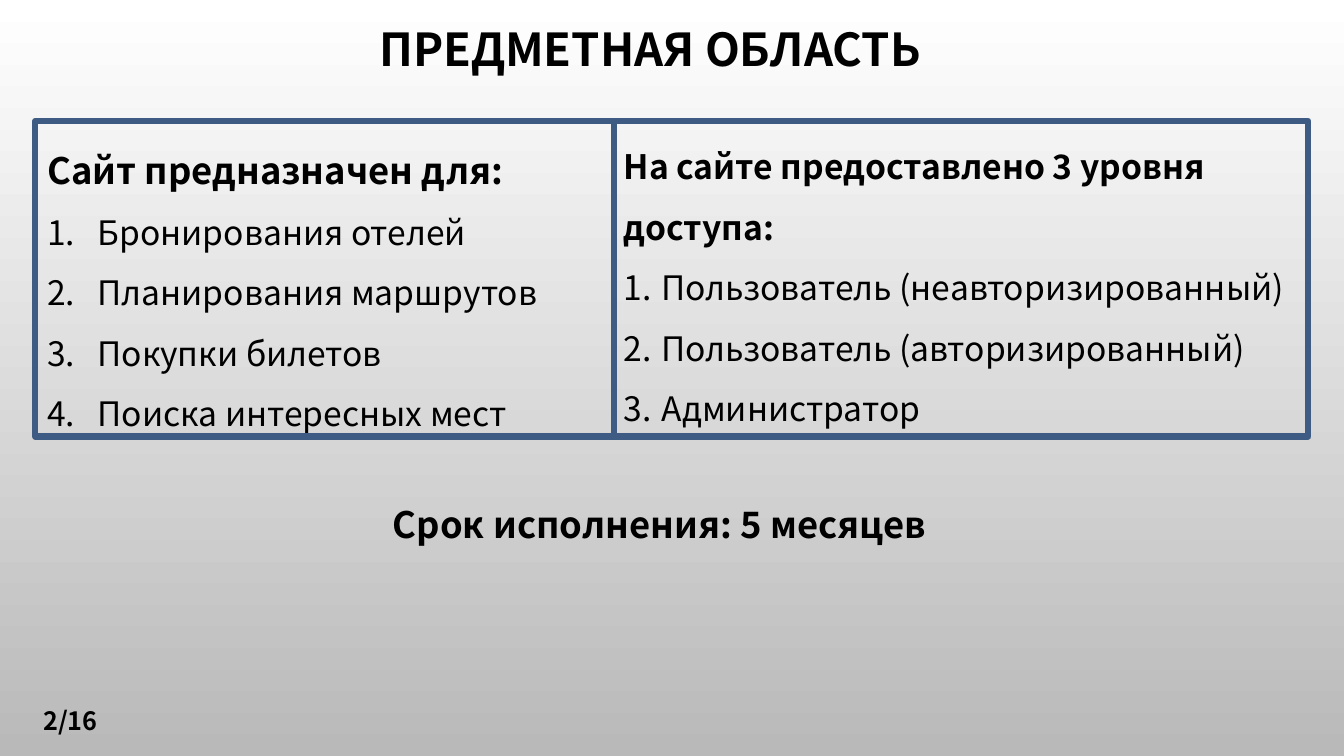
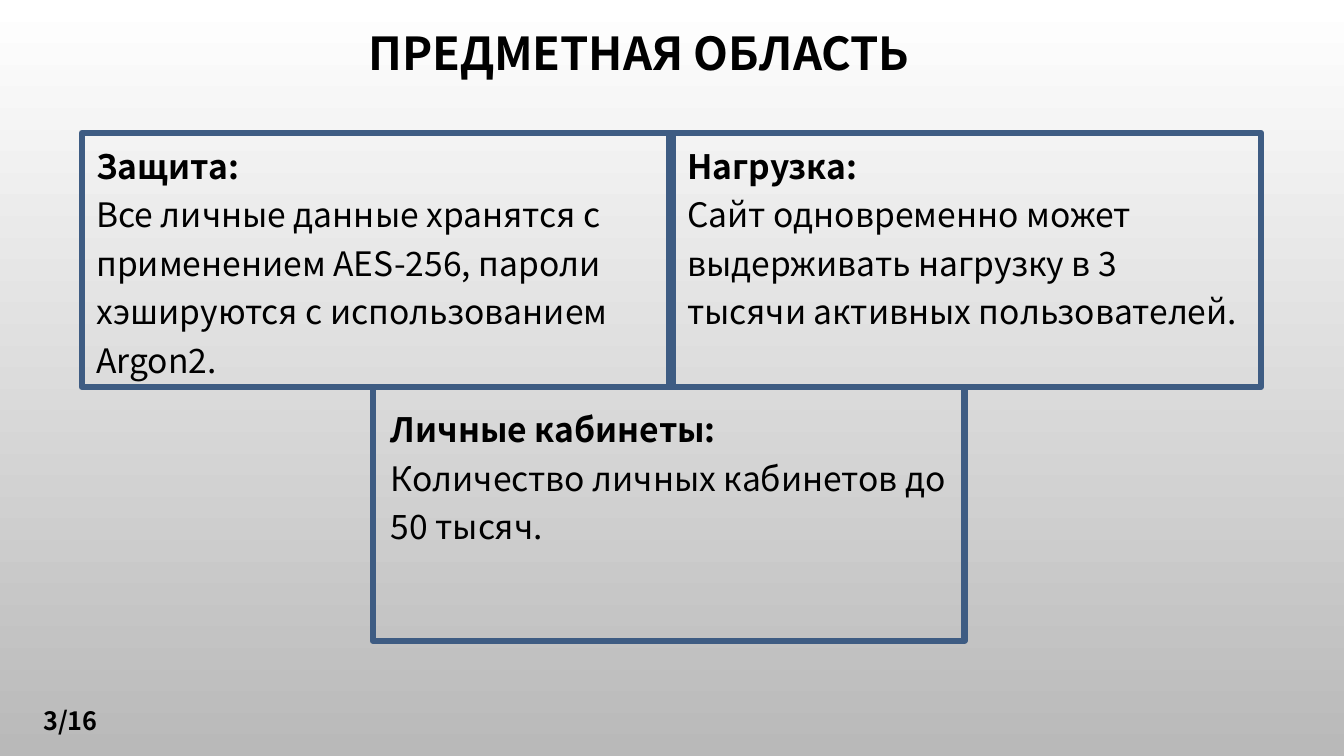
from lxml.etree import SubElement
from pptx import Presentation
from pptx.dml.color import RGBColor
from pptx.enum.shapes import MSO_SHAPE
from pptx.enum.text import MSO_ANCHOR, MSO_AUTO_SIZE, PP_ALIGN
from pptx.oxml.ns import qn
from pptx.util import Cm, Pt

FONT = "Noto Sans CJK SC"
BLACK = RGBColor(0x00, 0x00, 0x00)
WHITE = RGBColor(0xFF, 0xFF, 0xFF)
GREY = RGBColor(0xB9, 0xB9, 0xB9)
BLUE = RGBColor(0x3E, 0x5C, 0x83)


def write(shape, heading, size, items=(), item_size=24, spacing=1.0,
          indent=None, wrap=True):
    """Bold heading, then regular items, numbered when an indent is given."""
    frame = shape.text_frame
    frame.word_wrap = wrap
    frame.auto_size = MSO_AUTO_SIZE.SHAPE_TO_FIT_TEXT
    frame.vertical_anchor = MSO_ANCHOR.TOP
    for index, line in enumerate([heading, *items]):
        paragraph = frame.add_paragraph() if index else frame.paragraphs[0]
        paragraph.text = line
        paragraph.alignment = PP_ALIGN.LEFT
        paragraph.line_spacing = spacing
        if index and indent:
            properties = paragraph._p.get_or_add_pPr()
            properties.set("marL", str(indent))
            properties.set("indent", str(-indent))
            SubElement(properties, qn("a:buFont")).set("typeface", "+mj-lt")
            SubElement(properties, qn("a:buAutoNum")).set("type", "arabicPeriod")
        paragraph.font.name = FONT
        paragraph.font.size = Pt(item_size if index else size)
        paragraph.font.bold = index == 0
        paragraph.font.color.rgb = BLACK


def add_frame(slide, left, top, width, height):
    """Blue outline without fill."""
    frame = slide.shapes.add_shape(
        MSO_SHAPE.RECTANGLE, Cm(left), Cm(top), Cm(width), Cm(height))
    frame.shadow.inherit = False
    frame.fill.background()
    frame.line.color.rgb = BLUE
    frame.line.width = Pt(4.5)
    return frame


presentation = Presentation()
presentation.slide_width = Cm(33.87)
presentation.slide_height = Cm(19.05)

# Shared parts: background, title, page number
slides = []
for page, title_left, title_top in [(2, 8.18, 0.25), (3, 7.9, 0.33)]:
    slide = presentation.slides.add_slide(presentation.slide_layouts[6])
    slides.append(slide)

    background = slide.background.fill
    background.gradient()
    background.gradient_angle = 270
    for stop, color in zip(background.gradient_stops, (WHITE, GREY)):
        stop.color.rgb = color

    title = slide.shapes.add_textbox(
        Cm(title_left), Cm(title_top), Cm(16.41), Cm(2.13))
    write(title, "ПРЕДМЕТНАЯ ОБЛАСТЬ", 32.4, spacing=0.9)
    title.text_frame.auto_size = MSO_AUTO_SIZE.NONE
    title.text_frame.vertical_anchor = MSO_ANCHOR.MIDDLE
    title.text_frame.paragraphs[0].alignment = PP_ALIGN.CENTER

    page_number = slide.shapes.add_textbox(
        Cm(0.84), Cm(17.65), Cm(2.01), Cm(1.02))
    write(page_number, f"{page}/16", 18, wrap=False)

purpose_slide, requirements_slide = slides

# Purpose of the site, access levels and deadline
deadline = purpose_slide.shapes.add_textbox(
    Cm(9.65), Cm(12.52), Cm(14.55), Cm(1.37))
write(deadline, "Срок исполнения: 5 месяцев", 26, wrap=False)

purpose = purpose_slide.shapes.add_textbox(
    Cm(0.94), Cm(3.05), Cm(14.53), Cm(8.08))
write(purpose, "Сайт предназначен для:", 26, [
    "Бронирования отелей",
    "Планирования маршрутов",
    "Покупки билетов",
    "Поиска интересных мест",
], spacing=1.5, indent=Cm(1.27))

access_levels = add_frame(purpose_slide, 15.47, 3.05, 17.5, 7.95)
write(access_levels, "На сайте предоставлено 3 уровня доступа:", 24, [
    "Пользователь (неавторизированный)",
    "Пользователь (авторизированный)",
    "Администратор",
], spacing=1.5, indent=Cm(0.94))

add_frame(purpose_slide, 0.89, 3.05, 14.58, 7.95)

# Requirements: text position and width, heading, description
requirements = [
    (2.18, 3.35, 13.92, 6.4, "Защита:",
     "Все личные данные хранятся с применением AES-256, пароли "
     "хэшируются с использованием Argon2."),
    (17.07, 3.35, 14.5, 5.18, "Нагрузка:",
     "Сайт одновременно может выдерживать нагрузку в 3 тысячи "
     "активных пользователей."),
    (9.6, 9.98, 14.5, 3.96, "Личные кабинеты:",
     "Количество личных кабинетов до 50 тысяч."),
]
for left, top, width, height, heading, description in requirements:
    requirement = requirements_slide.shapes.add_textbox(
        Cm(left), Cm(top), Cm(width), Cm(height))
    write(requirement, heading, 24, [description], spacing=1.2)

for left, top in [(16.87, 3.35), (2.06, 3.35), (9.4, 9.75)]:
    add_frame(requirements_slide, left, top, 14.91, 6.4)

presentation.save("out.pptx")
